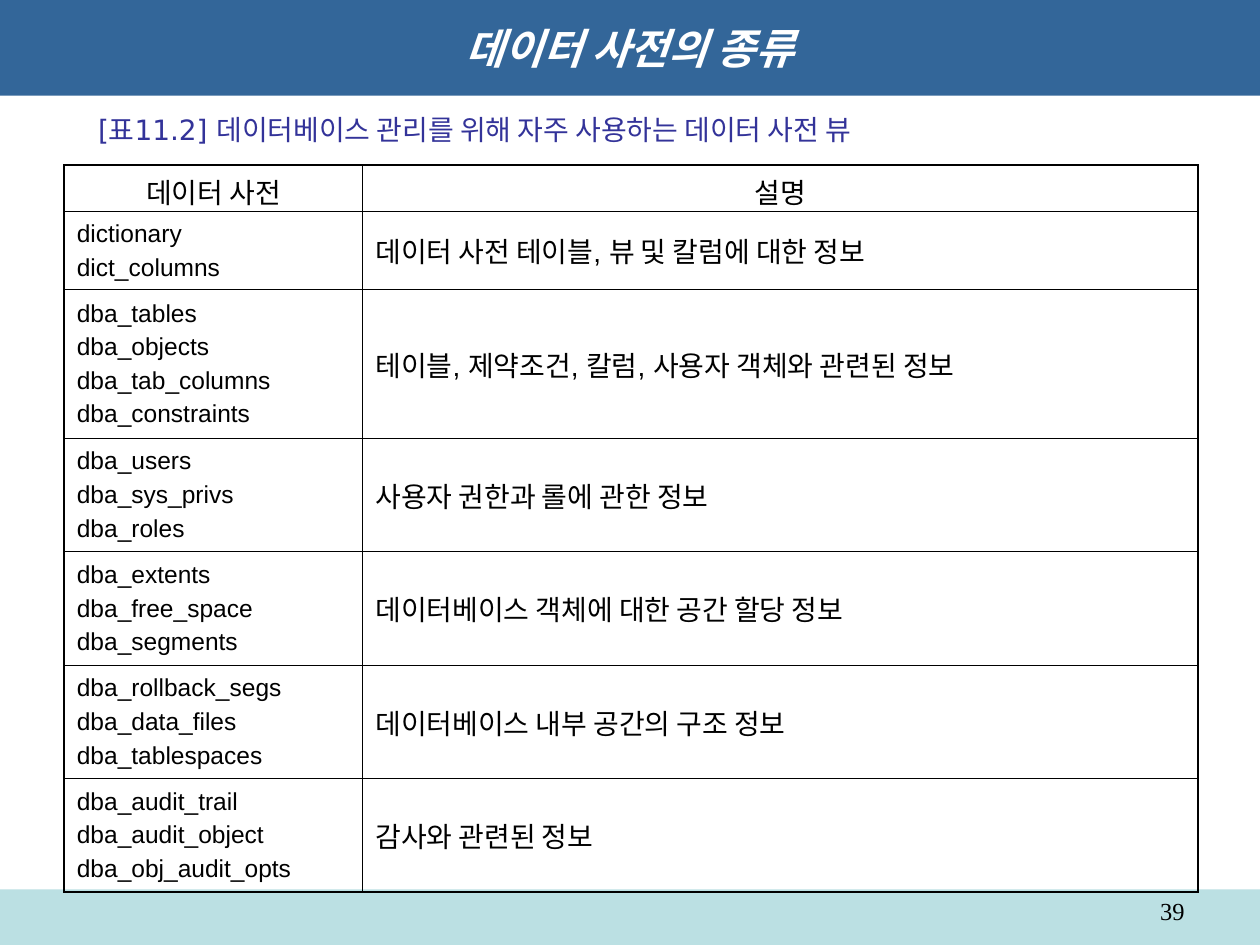
"""Builds the slide on data dictionary views used for database administration."""
from lxml import etree
from pptx import Presentation
from pptx.dml.color import RGBColor
from pptx.enum.shapes import MSO_SHAPE
from pptx.enum.text import MSO_ANCHOR, PP_ALIGN
from pptx.oxml.ns import qn
from pptx.util import Inches, Pt

LEFT, CENTER, RIGHT = PP_ALIGN.LEFT, PP_ALIGN.CENTER, PP_ALIGN.RIGHT
TOP, MIDDLE = MSO_ANCHOR.TOP, MSO_ANCHOR.MIDDLE
RECTANGLE = MSO_SHAPE.RECTANGLE
THIN, THICK = Pt(0.45), Pt(1.08)

rgb = RGBColor.from_string


def write(tf, text, size=16, font="Arial", color="000000", bold=False,
          italic=False, align=LEFT, before=0):
    for i, line in enumerate(text.split("\n")):
        p = tf.paragraphs[0] if i == 0 else tf.add_paragraph()
        p.alignment = align
        p.space_before = Pt(before)
        r = p.add_run()
        r.text = line
        r.font.size = Pt(size)
        r.font.name = font
        r.font.bold = bold
        r.font.italic = italic
        r.font.color.rgb = rgb(color)


def add_border(cell, side, width):
    ln = etree.SubElement(cell._tc.get_or_add_tcPr(), qn(f"a:ln{side}"), w=str(width))
    fill = etree.SubElement(ln, qn("a:solidFill"))
    etree.SubElement(fill, qn("a:srgbClr"), val="000000")


prs = Presentation()
prs.slide_width, prs.slide_height = Inches(10), Inches(7.5)
s = prs.slides.add_slide(prs.slide_layouts[6])

bars = []
for top, height, color in [(7.06, 0.44, "BBE0E3"), (0, 0.76, "336699")]:
    sp = s.shapes.add_shape(RECTANGLE, 0, Inches(top), Inches(10), Inches(height))
    sp.shadow.inherit = False
    sp.fill.solid()
    sp.fill.fore_color.rgb = rgb(color)
    sp.line.fill.background()
    bars.append(sp)
footer, title = bars
title.text_frame.vertical_anchor = MIDDLE
write(title.text_frame, "데이터 사전의 종류", size=24, font="DejaVu Sans",
      color="FFFFFF", bold=True, italic=True, align=CENTER)

caption = s.shapes.add_textbox(Inches(0.68), Inches(0.84), Inches(6.54), Inches(0.37))
caption.text_frame.word_wrap = False
caption.text_frame.vertical_anchor = MIDDLE
write(caption.text_frame, "[표11.2] 데이터베이스 관리를 위해 자주 사용하는 데이터 사전 뷰",
      font="DejaVu Sans", color="333399")

rows = [
    ("데이터 사전", "설명", 0.37),
    ("dictionary\ndict_columns", "데이터 사전 테이블, 뷰 및 칼럼에 대한 정보", 0.62),
    ("dba_tables\ndba_objects\ndba_tab_columns\ndba_constraints",
     "테이블, 제약조건, 칼럼, 사용자 객체와 관련된 정보", 1.18),
    ("dba_users\ndba_sys_privs\ndba_roles", "사용자 권한과 롤에 관한 정보", 0.9),
    ("dba_extents\ndba_free_space\ndba_segments",
     "데이터베이스 객체에 대한 공간 할당 정보", 0.9),
    ("dba_rollback_segs\ndba_data_files\ndba_tablespaces",
     "데이터베이스 내부 공간의 구조 정보", 0.9),
    ("dba_audit_trail\ndba_audit_object\ndba_obj_audit_opts", "감사와 관련된 정보", 0.9),
]
frame = s.shapes.add_table(len(rows), 2, Inches(0.51), Inches(1.31), Inches(9), Inches(5.77))
table = frame.table
table.first_row = table.horz_banding = False
table.columns[0].width, table.columns[1].width = Inches(2.37), Inches(6.63)
last = len(rows) - 1

for i, (views, description, height) in enumerate(rows):
    table.rows[i].height = Inches(height)
    for j, text in enumerate((views, description)):
        cell = table.cell(i, j)
        cell.vertical_anchor = MIDDLE
        cell.margin_left = cell.margin_right = Inches(0.1)
        cell.margin_top = cell.margin_bottom = Inches(0.05)
        for side, outer in [("L", j == 0), ("R", j == 1), ("T", i == 0), ("B", i == last)]:
            add_border(cell, side, THICK if outer else THIN)
        cell.fill.background()
        names = i > 0 and j == 0
        write(cell.text_frame, text, size=14 if names else 16,
              align=CENTER if i == 0 else LEFT, before=3.5 if names else 4)

number = s.shapes.add_textbox(Inches(7.17), Inches(7.06), Inches(2.33), Inches(0.29))
number.text_frame.word_wrap = True
number.text_frame.vertical_anchor = TOP
write(number.text_frame, "39", size=14, font="Times New Roman", align=RIGHT)

prs.save("out.pptx")
